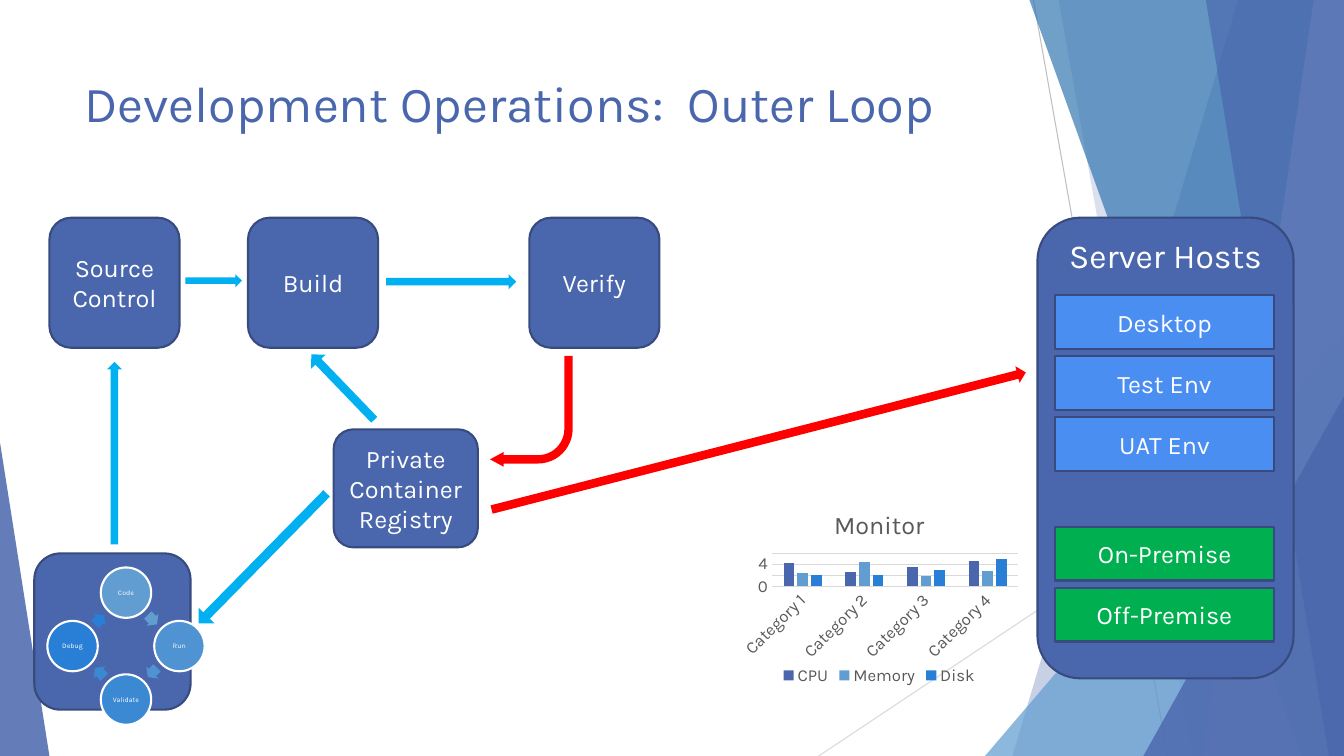
import math
import pptx
import pptx.util
import pptx.chart.data
import pptx.dml.color
import pptx.enum.chart
import pptx.enum.shapes
import pptx.enum.text
import pptx.oxml
import pptx.oxml.ns

Inches, Pt = pptx.util.Inches, pptx.util.Pt
RGBColor = pptx.dml.color.RGBColor
Shape = pptx.enum.shapes.MSO_SHAPE
Anchor = pptx.enum.text.MSO_ANCHOR
Align = pptx.enum.text.PP_ALIGN
qn, decl = pptx.oxml.ns.qn, pptx.oxml.ns.nsdecls

FONT = "Karla"
WHITE = RGBColor(0xFF, 0xFF, 0xFF)
NAVY = RGBColor(0x4A, 0x66, 0xAC)
EDGE = RGBColor(0x37, 0x4B, 0x7F)
STEEL = RGBColor(0x62, 0x9D, 0xD1)
AZURE = RGBColor(0x50, 0x93, 0xD2)
OCEAN = RGBColor(0x3C, 0x89, 0xD3)
COBALT = RGBColor(0x29, 0x7F, 0xD5)
DEEP = RGBColor(0x34, 0x77, 0xB2)
PALE = RGBColor(0x90, 0xA2, 0xCF)
SKY = RGBColor(0x4A, 0x8E, 0xF2)
CYAN = RGBColor(0x00, 0xB0, 0xF0)
GREEN = RGBColor(0x00, 0xB0, 0x50)
RED = RGBColor(0xFF, 0x00, 0x00)
GRAY = RGBColor(0xBF, 0xBF, 0xBF)
LIGHT = RGBColor(0xD9, 0xD9, 0xD9)
TEXT = RGBColor(0x59, 0x59, 0x59)


def paint(shape, color, edge=None, alpha=100):
    shape.shadow.inherit = False
    shape.fill.solid()
    shape.fill.fore_color.rgb = color
    if alpha < 100:
        tint = shape._element.spPr.find(qn("a:solidFill"))[0]
        tint.append(pptx.oxml.parse_xml(
            f'<a:alpha {decl("a")} val="{alpha * 1000}"/>'))
    if edge is None:
        shape.line.fill.background()
    else:
        shape.line.color.rgb = edge
        shape.line.width = Pt(1.5)


def style(font, size, color):
    font.name, font.size, font.bold = FONT, Pt(size), False
    font.color.rgb = color


def write(shape, lines, size, color=WHITE, align=Align.CENTER,
          anchor=Anchor.MIDDLE, pad=0.1):
    frame = shape.text_frame
    frame.word_wrap = True
    frame.vertical_anchor = anchor
    frame.margin_left = frame.margin_right = Inches(pad)
    frame.margin_top = frame.margin_bottom = Inches(pad / 2)
    for i, line in enumerate(lines):
        para = frame.add_paragraph() if i else frame.paragraphs[0]
        para.alignment = align
        run = para.add_run()
        run.text = line
        style(run.font, size, color)


def block(slide, kind, box, color, edge=None, turn=0, adj=(), alpha=100):
    shape = slide.shapes.add_shape(kind, *map(Inches, box))
    for i, value in enumerate(adj):
        shape.adjustments[i] = value
    shape.rotation = turn
    paint(shape, color, edge, alpha)
    return shape


def backdrop(slide, box):
    x, y, w, h = box
    right, base = x + w, y + h
    for start, end, color in (((10.25, y), (11.58, base), GRAY),
                              ((right, 4.03), (8.12, base), LIGHT)):
        line = slide.shapes.add_connector(
            pptx.enum.shapes.MSO_CONNECTOR.STRAIGHT, *map(Inches, start + end))
        line.line.color.rgb = color
        line.line.width = Pt(0.75)
        line._element.spPr.append(pptx.oxml.parse_xml(
            f'<a:effectLst {decl("a")}/>'))

    def band(top, foot, color, alpha):
        pen = slide.shapes.build_freeform(Inches(top), Inches(y), scale=1.0)
        pen.add_line_segments([(Inches(a), Inches(b)) for a, b in
                               ((right, y), (right, base), (foot, base))])
        paint(pen.convert_to_shape(), color, alpha=alpha)

    def wedge(left, top, wide, tip, color, alpha):
        block(slide, Shape.ISOSCELES_TRIANGLE, (left, top, wide, base - top),
              color, adj=(tip,), alpha=alpha)

    band(12.28, 10.04, NAVY, 30)
    band(10.5, 11.83, NAVY, 20)
    wedge(9.77, 3.33, 3.56, 1, STEEL, 72)
    band(10.21, 12.91, DEEP, 70)
    band(13.03, 11.92, PALE, 70)
    band(11.96, 13.18, NAVY, 65)
    wedge(11.34, 3.93, 1.99, 1, NAVY, 80)
    wedge(x, 4.39, 0.49, 0, NAVY, 85)


def heading(slide, box):
    title = slide.shapes.add_textbox(*map(Inches, box))
    write(title, ["Development Operations:  Outer Loop"], 36, NAVY,
          Align.LEFT, Anchor.TOP)


def loop(slide, box):
    x, y, w, h = box
    block(slide, Shape.ROUNDED_RECTANGLE, box, NAVY, EDGE)
    mid, level = x + 0.91, y + 0.92
    size, reach, gap = 0.5, 0.53, 0.37
    steps = (("Code", STEEL), ("Run", AZURE),
             ("Validate", OCEAN), ("Debug", COBALT))
    for i, (name, color) in enumerate(steps):
        turn = math.radians(90 * i)
        left = mid + reach * math.sin(turn) - size / 2
        top = level - reach * math.cos(turn) - size / 2
        disc = block(slide, Shape.OVAL, (left, top, size, size), color, WHITE)
        write(disc, [name], 5, pad=0.01)
        turn += math.pi / 4
        left = mid + gap * math.sin(turn) - 0.065
        top = level - gap * math.cos(turn) - 0.085
        block(slide, Shape.RIGHT_ARROW, (left, top, 0.13, 0.17), color,
              turn=45 + 90 * i, adj=(0.6, 0.5))


def flow(slide, box):
    x, y, w, h = box
    side = 1.29
    stages = ((0, 0, side, side, ["Source Control"]),
              (1.97, 0, side, side, ["Build"]),
              (4.76, 0, side, side, ["Verify"]),
              (2.82, 2.1, 1.43, 1.17, ["Private", "Container", "Registry"]))
    for left, top, wide, high, lines in stages:
        stage = block(slide, Shape.ROUNDED_RECTANGLE,
                      (x + left, y + top, wide, high), NAVY, EDGE)
        write(stage, lines, 18, pad=0.05)
    right = Shape.RIGHT_ARROW
    arrows = ((right, 1.21, 3.27, 1.81, 0.22, 134.5, (0.415, 0.5), CYAN),
              (Shape.UP_ARROW, 0.57, 1.43, 0.15, 1.81, 0, (), CYAN),
              (right, 1.35, 0.56, 0.56, 0.13, 0, (), CYAN),
              (right, 3.34, 0.56, 1.29, 0.15, 0, (), CYAN),
              (right, 2.46, 1.58, 0.9, 0.2, 226.1, (0.415, 0.5), CYAN),
              (Shape.BENT_ARROW, 4.37, 1.37, 0.82, 1.1, 180,
               (0.101, 0.089, 0.164, 0.42), RED),
              (right, 4.3, 2.13, 5.47, 0.17, 345.6, (), RED))
    for kind, left, top, wide, high, turn, adj, color in arrows:
        block(slide, kind, (x + left, y + top, wide, high), color,
              turn=turn, adj=adj)


def hosts(slide, box):
    x, y, w, h = box
    panel = block(slide, Shape.ROUNDED_RECTANGLE, box, NAVY, EDGE)
    write(panel, ["Server Hosts"], 24, anchor=Anchor.TOP)
    groups = ((0.77, SKY, ("Desktop", "Test Env", "UAT Env")),
              (3.07, GREEN, ("On-Premise", "Off-Premise")))
    for top, color, names in groups:
        for i, name in enumerate(names):
            place = (x + 0.17, y + top + 0.605 * i, 2.18, 0.53)
            write(block(slide, Shape.RECTANGLE, place, color, EDGE), [name], 18)


def monitor(slide, box):
    data = pptx.chart.data.CategoryChartData()
    data.categories = [f"Category {n}" for n in range(1, 5)]
    rows = (("CPU", (4.3, 2.5, 3.5, 4.5), NAVY),
            ("Memory", (2.4, 4.4, 1.8, 2.8), STEEL),
            ("Disk", (2, 2, 3, 5), COBALT))
    for name, values, color in rows:
        data.add_series(name, values)
    enum = pptx.enum.chart
    chart = slide.shapes.add_chart(enum.XL_CHART_TYPE.COLUMN_CLUSTERED,
                                   *map(Inches, box), data).chart
    style(chart.font, 12, TEXT)
    chart.has_title = True
    run = chart.chart_title.text_frame.paragraphs[0].add_run()
    run.text = "Monitor"
    style(run.font, 18, TEXT)
    chart.chart_title.include_in_layout = False
    chart.has_legend = True
    chart.legend.position = enum.XL_LEGEND_POSITION.BOTTOM
    chart.legend.include_in_layout = False
    style(chart.legend.font, 12, TEXT)
    plot = chart.plots[0]
    plot.gap_width, plot.overlap, plot.vary_by_categories = 219, -27, False
    for series, (name, values, color) in zip(plot.series, rows):
        series.format.fill.solid()
        series.format.fill.fore_color.rgb = color
    cats, vals = chart.category_axis, chart.value_axis
    for axis in (cats, vals):
        axis.major_tick_mark = axis.minor_tick_mark = enum.XL_TICK_MARK.NONE
        style(axis.tick_labels.font, 12, TEXT)
    cats._element.find(qn("c:txPr")).find(qn("a:bodyPr")).set("rot", "-2700000")
    vals.minimum_scale, vals.maximum_scale, vals.major_unit = 0, 6, 2
    vals.format.line.fill.background()
    for line in (cats.format.line, vals.major_gridlines.format.line):
        line.color.rgb = LIGHT
        line.width = Pt(0.75)
    area = chart._chartSpace.find(qn("c:chart")).find(qn("c:plotArea"))
    for old in area.findall(qn("c:layout")):
        area.remove(old)
    spots = "".join(f'<c:{key} val="{value}"/>' for key, value in (
        ("layoutTarget", "inner"), ("xMode", "edge"), ("yMode", "edge"),
        ("x", 0.13), ("y", 0.3), ("w", 0.85), ("h", 0.17)))
    area.insert(0, pptx.oxml.parse_xml(
        f'<c:layout {decl("c")}>'
        f'<c:manualLayout>{spots}</c:manualLayout></c:layout>'))


deck = pptx.Presentation()
deck.slide_width, deck.slide_height = Inches(13.33), Inches(7.5)
page = deck.slides.add_slide(deck.slide_layouts[6])
backdrop(page, (0, 0, 13.33, 7.5))
heading(page, (0.74, 0.67, 9.4, 1.44))
loop(page, (0.34, 5.49, 1.55, 1.55))
hosts(page, (10.29, 2.16, 2.54, 4.57))
monitor(page, (7.28, 4.91, 2.88, 1.93))
flow(page, (0.49, 2.16, 9.77, 3.27))
deck.save("out.pptx")
